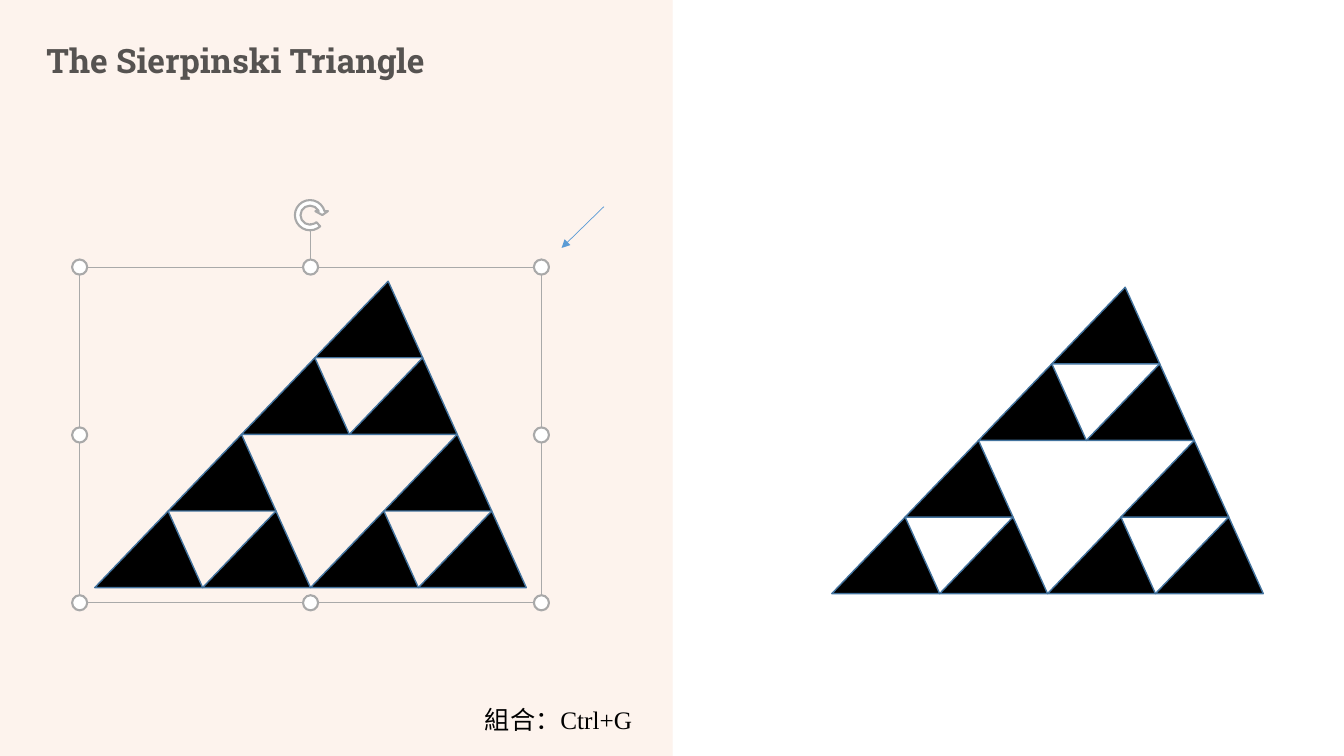
import lxml.etree
import pptx
import pptx.util
import pptx.dml.color
import pptx.oxml.ns
import pptx.enum.shapes
import pptx.enum.text

Inches = pptx.util.Inches
Pt = pptx.util.Pt
SHAPE = pptx.enum.shapes.MSO_SHAPE
STRAIGHT = pptx.enum.shapes.MSO_CONNECTOR.STRAIGHT
ALIGN = pptx.enum.text.PP_ALIGN
MIDDLE = pptx.enum.text.MSO_ANCHOR.MIDDLE
RGB = pptx.dml.color.RGBColor.from_string
qn = pptx.oxml.ns.qn

COLORS = {
    "panel": "F4B183",
    "divider": "FBE5D6",
    "title": "3D4449",
    "triangle": "000000",
    "outline": "43739E",
    "selection": "A9A9A9",
    "handle": "FFFFFF",
    "arrow": "5B9BD5",
    "label": "000000",
}


def add_shape(parent, kind, at, fill=None, line=None, weight=1):
    shape = parent.shapes.add_shape(kind, *[Inches(v) for v in at])
    shape.shadow.inherit = False
    if fill:
        shape.fill.solid()
        shape.fill.fore_color.rgb = RGB(COLORS[fill])
    else:
        shape.fill.background()
    if line:
        shape.line.color.rgb = RGB(COLORS[line])
        shape.line.width = Pt(weight)
    else:
        shape.line.fill.background()
    return shape


def add_line(parent, start, end, color, weight):
    line = parent.shapes.add_connector(STRAIGHT, *[Inches(v) for v in start + end])
    line.line.color.rgb = RGB(COLORS[color])
    line.line.width = Pt(weight)
    lxml.etree.SubElement(line._element.spPr, qn("a:effectLst"))
    return line


deck = pptx.Presentation()
deck.slide_width = Inches(13.33)
deck.slide_height = Inches(7.5)
page = deck.slides.add_slide(deck.slide_layouts[5])

panel = add_shape(page, SHAPE.RECTANGLE, (0, 0, 6.67, 7.5), "panel")
divider = add_line(page, (6.67, 7.5), (6.67, 0), "divider", 0.25)
for item, opacity in ((panel, 14), (divider, 50)):
    color = next(item._element.spPr.iter(qn("a:srgbClr")))
    lxml.etree.SubElement(color, qn("a:alpha"), val=str(opacity * 1000))

title = page.shapes.title
title.left, title.top = Inches(0.36), Inches(0.4)
title.width, title.height = Inches(5.95), Inches(0.44)
title.text_frame.text = "The Sierpinski Triangle"
title.text_frame.word_wrap = False
title.text_frame.vertical_anchor = MIDDLE
para = title.text_frame.paragraphs[0]
para.alignment = ALIGN.LEFT
para.line_spacing = 0.9
para.font.name = "Roboto Slab"
para.font.size = Pt(24)
para.font.bold = True
para.font.color.rgb = RGB(COLORS["title"])

BASE, HEIGHT, APEX = 1.07, 0.76, 0.68
for left, bottom in ((0.94, 5.83), (8.25, 5.89)):
    sierpinski = page.shapes.add_group_shape()
    for row in range(4):
        for col in range(4 - row):
            if row & col:
                continue
            x = left + (col + row * APEX) * BASE
            y = bottom - (row + 1) * HEIGHT
            triangle = add_shape(sierpinski, SHAPE.ISOSCELES_TRIANGLE,
                                 (x, y, BASE, HEIGHT), "triangle", "outline")
            triangle.adjustments[0] = APEX

FRAME_LEFT, FRAME_TOP, FRAME_WIDTH, FRAME_HEIGHT = 0.79, 2.65, 4.58, 3.33
HANDLE = 0.15
selection = page.shapes.add_group_shape()
add_shape(selection, SHAPE.RECTANGLE,
          (FRAME_LEFT, FRAME_TOP, FRAME_WIDTH, FRAME_HEIGHT), None, "selection", 0.5)
for across in (0, 0.5, 1):
    for down in (0, 0.5, 1):
        if across == down == 0.5:
            continue
        x = FRAME_LEFT + across * FRAME_WIDTH - HANDLE / 2
        y = FRAME_TOP + down * FRAME_HEIGHT - HANDLE / 2
        add_shape(selection, SHAPE.OVAL, (x, y, HANDLE, HANDLE),
                  "handle", "selection", 1.5)
add_line(selection, (3.08, 2.58), (3.08, 2.21), "selection", 0.5)
rotation = add_shape(selection, SHAPE.CIRCULAR_ARROW, (2.89, 1.95, 0.37, 0.37),
                     "handle", "selection", 1.5)
for index, value in enumerate((0.15, 11.19, 204.55, 28.68, 0.17)):
    rotation.adjustments[index] = value

pointer = add_line(page, (5.99, 2.05), (5.57, 2.46), "arrow", 0.5)
outline = pointer._element.spPr.find(qn("a:ln"))
lxml.etree.SubElement(outline, qn("a:tailEnd"), type="triangle")

label = add_shape(page, SHAPE.ROUNDED_RECTANGLE, (4.68, 6.91, 1.71, 0.45))
label.text_frame.text = "組合：Ctrl+G"
label.text_frame.word_wrap = True
label.text_frame.vertical_anchor = MIDDLE
para = label.text_frame.paragraphs[0]
para.alignment = ALIGN.RIGHT
para.font.name = "Times New Roman"
para.font.size = Pt(18)
para.font.color.rgb = RGB(COLORS["label"])

deck.save("out.pptx")
